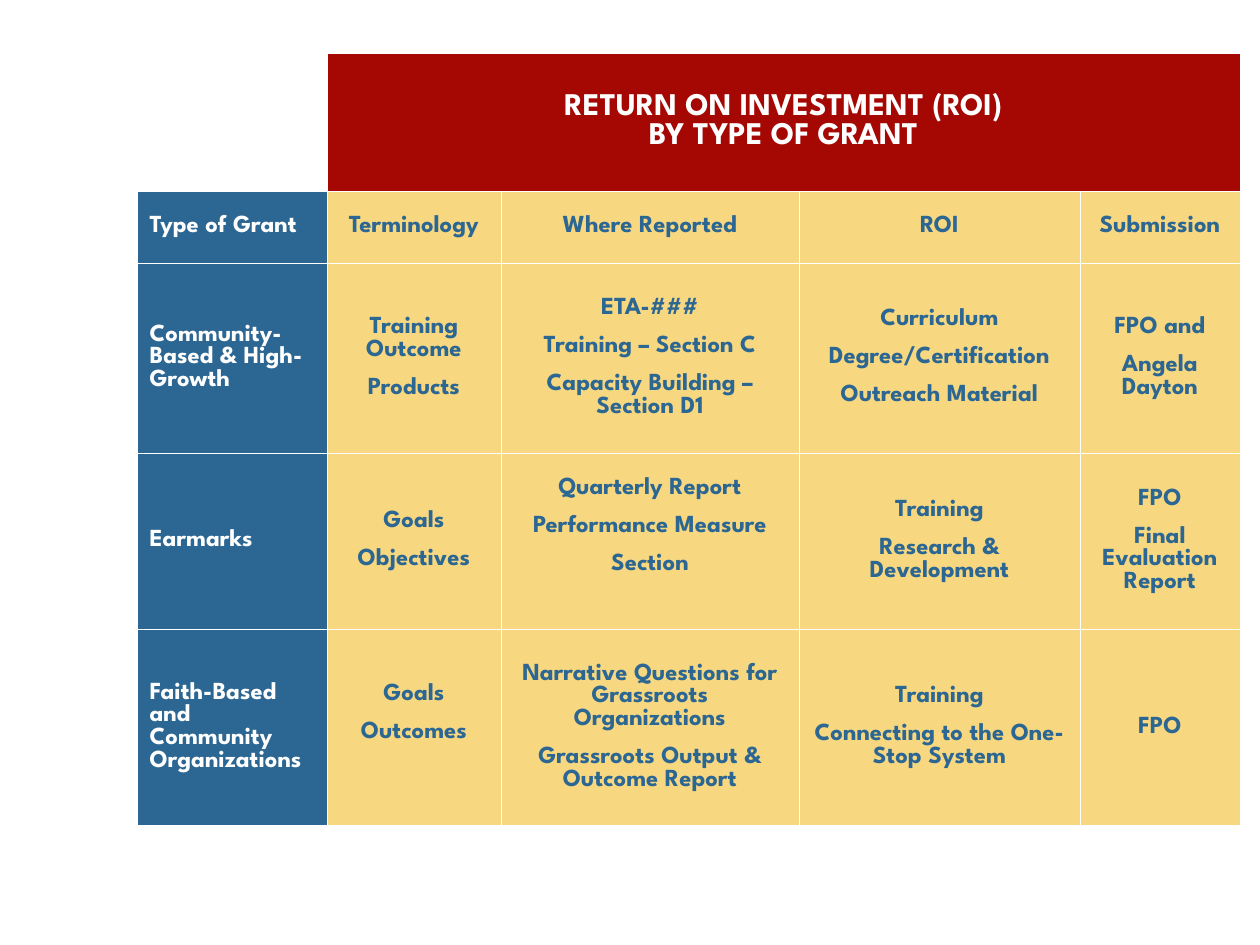
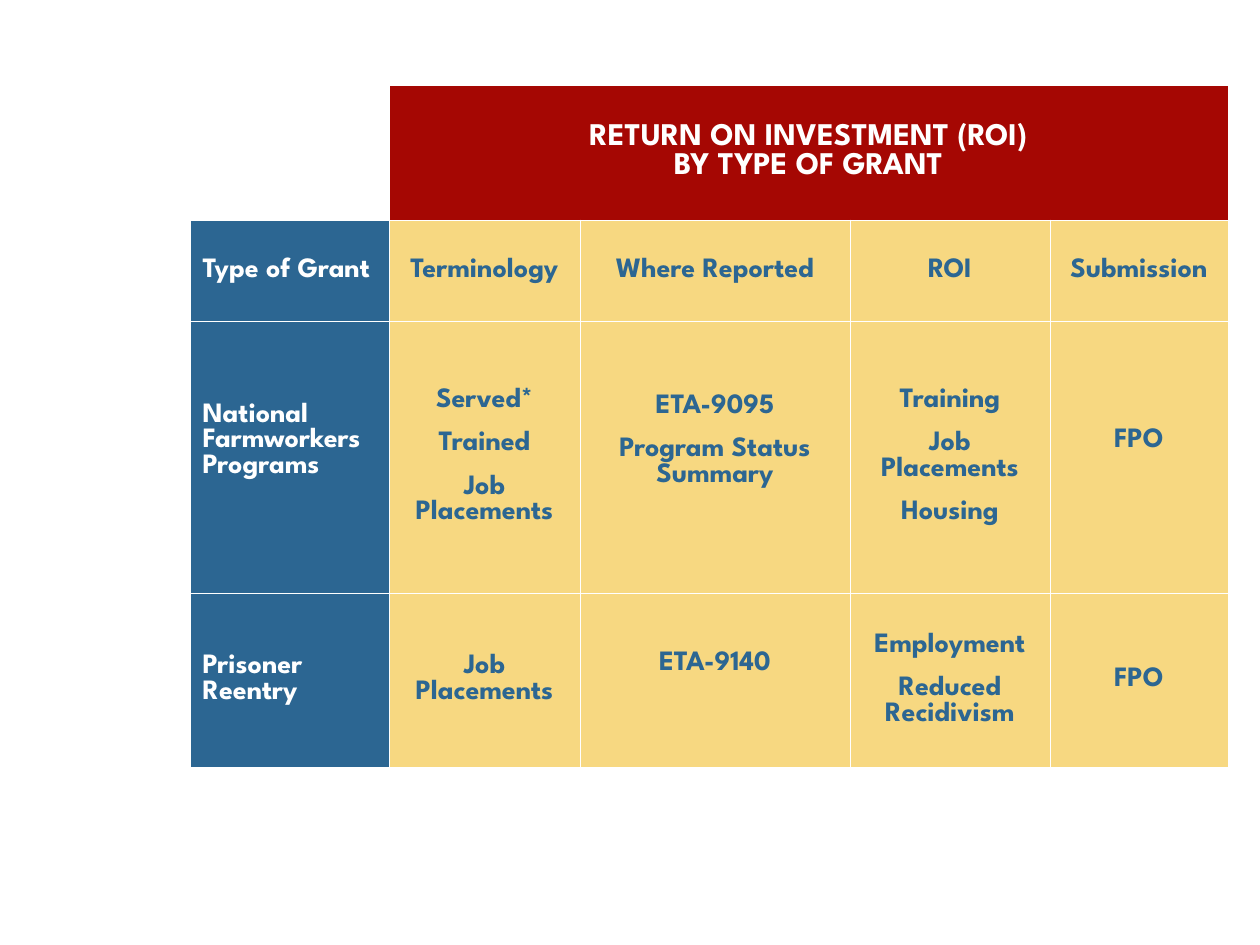
from lxml.etree import SubElement
from pptx import Presentation
from pptx.dml.color import RGBColor
from pptx.enum.text import MSO_ANCHOR, PP_ALIGN
from pptx.oxml.ns import qn
from pptx.util import Emu, Pt

PX = 914400 / 126
FONT = "League Spartan"
WHITE = RGBColor(0xFF, 0xFF, 0xFF)
RED = RGBColor(0xA5, 0x07, 0x03)
BLUE = RGBColor(0x2C, 0x66, 0x92)
GOLD = RGBColor(0xF7, 0xD8, 0x81)

TITLE = "RETURN ON INVESTMENT (ROI)\vBY TYPE OF GRANT"
TITLE_SIZE = 18
HEADINGS = ["Type of Grant", "Terminology", "Where Reported", "ROI", "Submission"]

# "raised" lists the (row, column) cells whose text sits above the middle.
GRANT_TABLES = [
    {
        "left": 137, "top": 53, "size": 14, "space_before": 8.8,
        "columns": [190, 174, 298, 281, 160],
        "rows": [138, 72, 190, 176, 197],
        "raised": {(3, 2), (4, 1)},
        "grants": [
            ["Community-Based & High-Growth",
             "Training Outcome\nProducts",
             "ETA-###\nTraining – Section C\nCapacity Building – Section D1",
             "Curriculum\nDegree/Certification\nOutreach Material",
             "FPO and\nAngela Dayton"],
            ["Earmarks",
             "Goals\nObjectives",
             "Quarterly Report\nPerformance Measure\nSection",
             "Training\nResearch & Development",
             "FPO\nFinal Evaluation Report"],
            ["Faith-Based and Community Organizations",
             "Goals\nOutcomes",
             "Narrative Questions for Grassroots Organizations\n"
             "Grassroots Output & Outcome Report",
             "Training\nConnecting to the One-Stop System",
             "FPO"],
        ],
    },
    {
        "left": 190, "top": 85, "size": 16, "space_before": 10,
        "columns": [199, 191, 270, 200, 178],
        "rows": [135, 101, 272, 174],
        "raised": {(2, 0), (2, 2), (2, 4), (3, 2)},
        "grants": [
            ["National Farmworkers Programs",
             "Served*\nTrained\nJob Placements",
             "ETA-9095\nProgram Status Summary",
             "Training\nJob Placements\nHousing",
             "FPO"],
            ["Prisoner Reentry",
             "Job Placements",
             "ETA-9140",
             "Employment\nReduced Recidivism",
             "FPO"],
        ],
    },
]


def px(length):
    return Emu(round(length * PX))


def add_white_borders(cell):
    properties = cell._tc.get_or_add_tcPr()
    for side in ("lnL", "lnR", "lnT", "lnB"):
        line = SubElement(properties, qn(f"a:{side}"), w=str(Pt(0.45)))
        fill = SubElement(line, qn("a:solidFill"))
        SubElement(fill, qn("a:srgbClr"), val=str(WHITE))


presentation = Presentation()
presentation.slide_width = px(1260)
presentation.slide_height = px(945)

for layout in GRANT_TABLES:
    slide = presentation.slides.add_slide(presentation.slide_layouts[6])
    widths, heights = layout["columns"], layout["rows"]
    table = slide.shapes.add_table(
        len(heights), len(widths), px(layout["left"]), px(layout["top"]),
        px(sum(widths)), px(sum(heights))).table
    table.first_row = False
    table.horz_banding = False
    for column, width in zip(table.columns, widths):
        column.width = px(width)
    for row, height in zip(table.rows, heights):
        row.height = px(height)

    texts = [["", TITLE, "", "", ""], HEADINGS] + layout["grants"]
    for row_number, row_texts in enumerate(texts):
        for column_number, text in enumerate(row_texts):
            cell = table.cell(row_number, column_number)
            add_white_borders(cell)
            if row_number == 0 and column_number == 0:
                cell.fill.background()
                continue

            if row_number == 0:
                fill, color, size = RED, WHITE, TITLE_SIZE
            elif column_number == 0:
                fill, color, size = BLUE, WHITE, layout["size"]
            else:
                fill, color, size = GOLD, BLUE, layout["size"]
            cell.fill.solid()
            cell.fill.fore_color.rgb = fill
            cell.vertical_anchor = MSO_ANCHOR.MIDDLE
            if (row_number, column_number) in layout["raised"]:
                cell.margin_bottom = px(6 + 2 * size)
            if not text:
                continue

            cell.text_frame.text = text
            for number, paragraph in enumerate(cell.text_frame.paragraphs):
                paragraph.alignment = PP_ALIGN.CENTER if column_number else PP_ALIGN.LEFT
                if number:
                    paragraph.space_before = Pt(layout["space_before"])
                for run in paragraph.runs:
                    run.font.name = FONT
                    run.font.size = Pt(size)
                    run.font.bold = True
                    run.font.color.rgb = color
    table.cell(0, 1).merge(table.cell(0, 4))

presentation.save("out.pptx")
